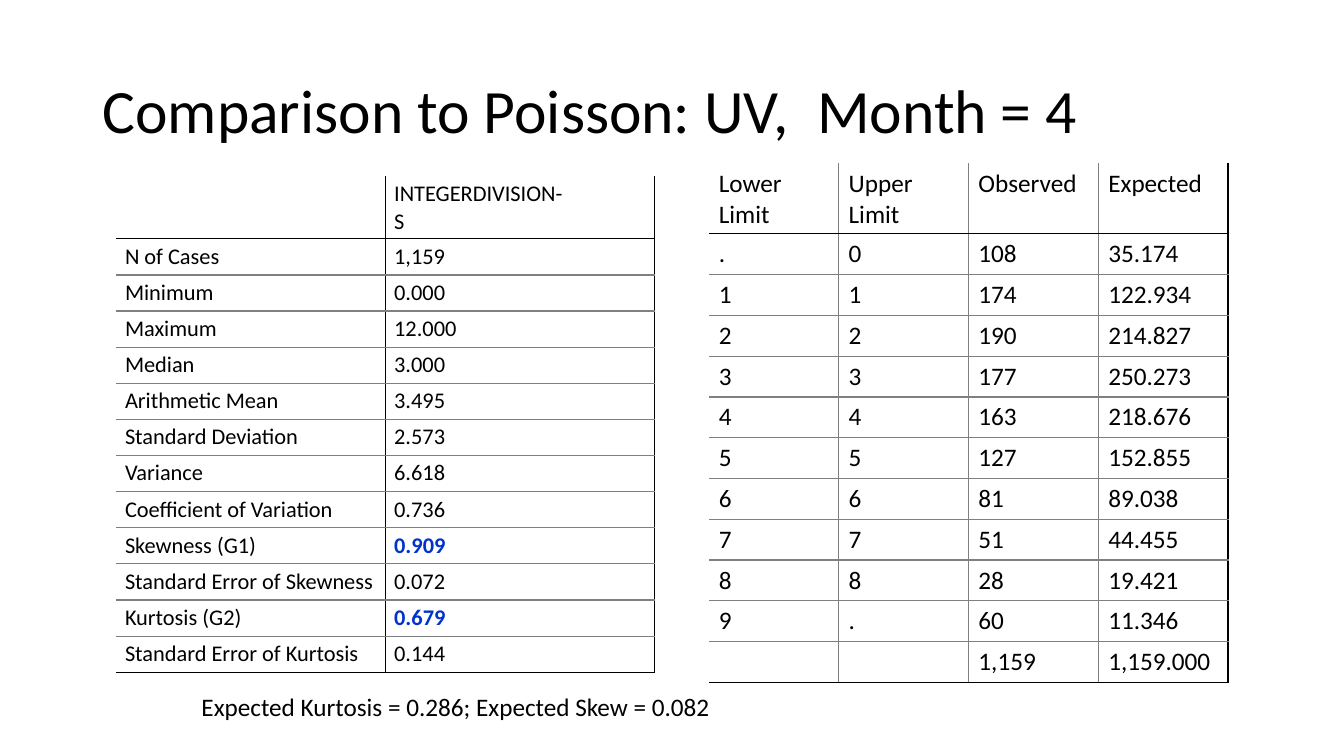
from dataclasses import dataclass

from pptx import Presentation
from pptx.dml.color import RGBColor
from pptx.enum.text import MSO_ANCHOR, MSO_AUTO_SIZE
from pptx.oxml.ns import qn
from pptx.util import Emu, Pt
from lxml.etree import SubElement as Sub

EMU_PER_PX = 9144


@dataclass(frozen=True)
class Theme:
    font: str = "Calibri"
    ink: str = "000000"
    rule: str = "808080"
    accent: str = "0033CC"
    title: int = 44
    body: int = 18
    small: int = 16


THEME = Theme()

STATISTICS = [
    ("", "INTEGERDIVISION-\vS"),
    ("N of Cases", "1,159"),
    ("Minimum", "0.000"),
    ("Maximum", "12.000"),
    ("Median", "3.000"),
    ("Arithmetic Mean", "3.495"),
    ("Standard Deviation", "2.573"),
    ("Variance", "6.618"),
    ("Coefficient of Variation", "0.736"),
    ("Skewness (G1)", "0.909"),
    ("Standard Error of Skewness", "0.072"),
    ("Kurtosis (G2)", "0.679"),
    ("Standard Error of Kurtosis", "0.144"),
]
HIGHLIGHTS = {"0.909", "0.679"}

FREQUENCIES = [
    ("Lower Limit", "Upper Limit", "Observed", "Expected"),
    (".", "0", "108", "35.174"),
    ("1", "1", "174", "122.934"),
    ("2", "2", "190", "214.827"),
    ("3", "3", "177", "250.273"),
    ("4", "4", "163", "218.676"),
    ("5", "5", "127", "152.855"),
    ("6", "6", "81", "89.038"),
    ("7", "7", "51", "44.455"),
    ("8", "8", "28", "19.421"),
    ("9", ".", "60", "11.346"),
    ("", "", "1,159", "1,159.000"),
]


def px(n):
    return Emu(n * EMU_PER_PX)


def style(font, size, color=THEME.ink, bold=False):
    font.name = THEME.font
    font.size = Pt(size)
    font.bold = bold
    font.color.rgb = RGBColor.from_string(color)


def write(tf, text, size, color=THEME.ink, bold=False):
    p = tf.paragraphs[0]
    if not text:
        p.font.size = Pt(size)
    for i, line in enumerate(text.split("\v")):
        if i:
            p.add_line_break()
        r = p.add_run()
        r.text = line
        style(r.font, size, color, bold)
    return p


def set_borders(cell, left, right, top, bottom):
    tc_pr = cell._tc.get_or_add_tcPr()
    edges = {"a:lnL": left, "a:lnR": right, "a:lnT": top, "a:lnB": bottom}
    for tag, color in edges.items():
        ln = Sub(tc_pr, qn(tag), w=str(Pt(1)))
        if color is None:
            Sub(ln, qn("a:noFill"))
        else:
            fill = Sub(ln, qn("a:solidFill"))
            Sub(fill, qn("a:srgbClr"), val=color)


def add_title(s, box, text):
    tf = s.shapes.add_textbox(*map(px, box)).text_frame
    tf.word_wrap = True
    tf.vertical_anchor = MSO_ANCHOR.MIDDLE
    write(tf, text, THEME.title).line_spacing = 0.9


def add_note(s, box, text):
    tf = s.shapes.add_textbox(*map(px, box)).text_frame
    tf.word_wrap = False
    tf.auto_size = MSO_AUTO_SIZE.SHAPE_TO_FIT_TEXT
    write(tf, text, THEME.body)


def add_ruled_table(s, box, data, header, size, inset, divider):
    x, y, w, h = box
    n_rows, n_cols = len(data), len(data[0])
    table = s.shapes.add_table(n_rows, n_cols, *map(px, box)).table
    table.first_row = table.horz_banding = False
    for col in table.columns:
        col.width = px(w) // n_cols
    for i, row in enumerate(table.rows):
        row.height = px(header) if i == 0 else px(h - header) // (n_rows - 1)

    verticals = [None] + [divider] * (n_cols - 1) + [THEME.ink]
    horizontals = [None, THEME.ink] + [THEME.rule] * (n_rows - 2) + [THEME.ink]
    for i, values in enumerate(data):
        for j, value in enumerate(values):
            cell = table.cell(i, j)
            cell.margin_left = cell.margin_right = px(inset[0])
            cell.margin_top = cell.margin_bottom = px(inset[1])
            set_borders(cell, *verticals[j:j + 2], *horizontals[i:i + 2])
            cell.fill.background()
            marked = value in HIGHLIGHTS
            color = THEME.accent if marked else THEME.ink
            write(cell.text_frame, value, size, color, marked)


def build_comparison(prs):
    s = prs.slides.add_slide(prs.slide_layouts[6])
    add_title(s, (92, 40, 1150, 145), "Comparison to Poisson: UV,  Month = 4")
    add_ruled_table(s, (115, 175, 534, 492), STATISTICS, header=62,
                    size=THEME.small, inset=(9, 4), divider=THEME.ink)
    add_ruled_table(s, (703, 162, 515, 515), FREQUENCIES, header=70,
                    size=THEME.body, inset=(10, 5), divider=THEME.rule)
    add_note(s, (190, 681, 543, 40),
             "Expected Kurtosis = 0.286; Expected Skew = 0.082")


def main():
    prs = Presentation()
    prs.slide_width, prs.slide_height = px(1333), px(750)
    build_comparison(prs)
    prs.save("out.pptx")


if __name__ == "__main__":
    main()
